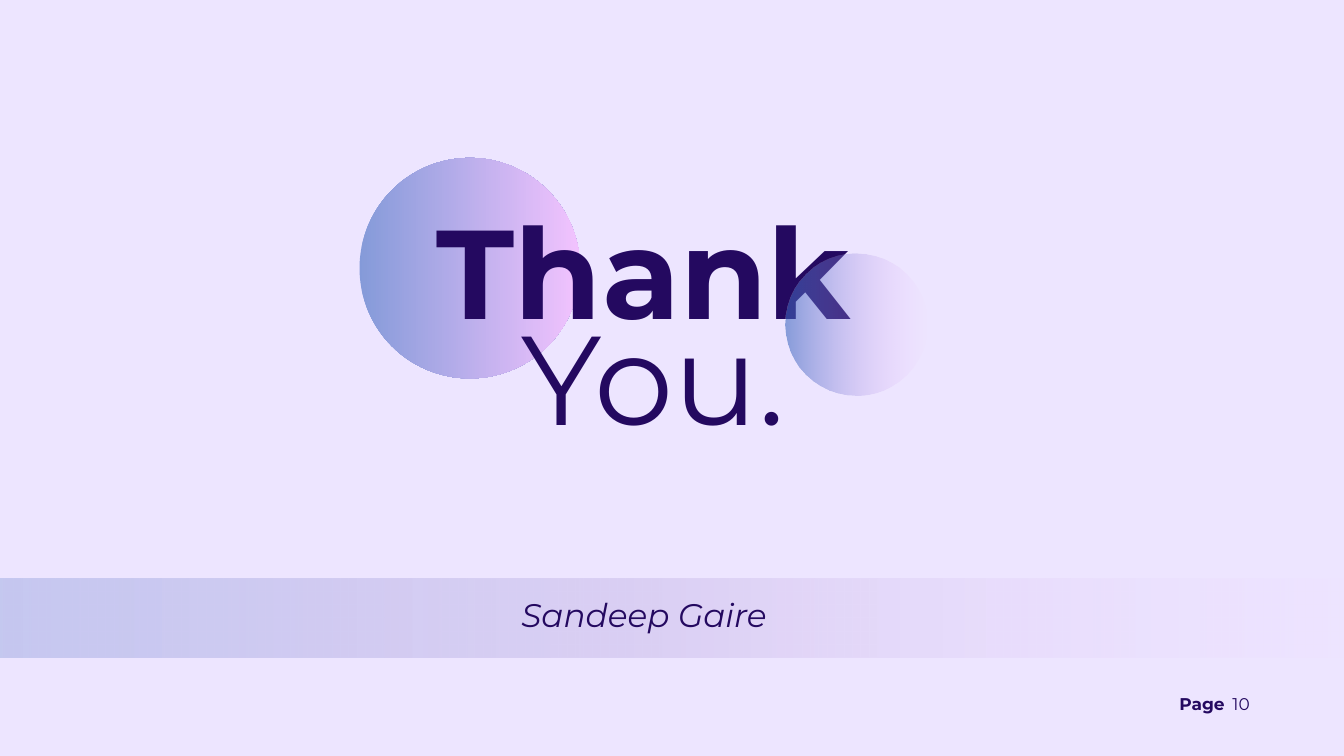
import pptx
import pptx.util
import pptx.dml.color
import pptx.enum.shapes
import pptx.enum.text
import pptx.oxml
import pptx.oxml.ns
from lxml import etree

Pt = pptx.util.Pt
SHAPE = pptx.enum.shapes.MSO_SHAPE
ALIGN = pptx.enum.text.PP_ALIGN

FONT = "Montserrat"
COLORS = {
    "background": "EDE5FF",
    "ink": "240960",
    "blue": "3C67BF",
    "violet": "6B4CAF",
    "pink": "F7ACFF",
}

# Gradient stops: position %, colour, opacity %
LARGE_CIRCLE = {
    "kind": SHAPE.OVAL, "box": (385.2, 169.2, 236.2, 236.2),
    "stops": [(0, "blue", 58), (100, "pink", 58)],
}
SMALL_CIRCLE = {
    "kind": SHAPE.OVAL, "box": (841.5, 271.5, 152, 152),
    "stops": [(0, "blue", 58), (100, "pink", 0)],
}
BAND = {
    "kind": SHAPE.RECTANGLE, "box": (-38.7, 620.3, 1517.4, 84),
    "stops": [(0, "blue", 23), (50, "violet", 13), (100, "pink", 0)],
}

TITLE = {"size": 135.3, "leading": 108.3, "align": ALIGN.CENTER}
PAGE = {"size": 18.2, "leading": 18.6, "align": ALIGN.LEFT}
NAME = {"size": 35, "leading": 28, "align": ALIGN.CENTER}

# Back to front; the small circle lies over the title
CONTENT = [
    LARGE_CIRCLE,
    {"text": "Thank", "box": (411.8, 261.4, 555.8, 121.7), "bold": True, **TITLE},
    {"text": "You.", "box": (503.3, 375.1, 393.1, 121.7), **TITLE},
    SMALL_CIRCLE,
    BAND,
    {"text": "Page", "box": (1263.6, 745.9, 56.9, 19.4), "bold": True, **PAGE},
    {"text": "10", "box": (1320.5, 745.9, 28.1, 19.4), **PAGE},
    {"text": "Sandeep Gaire", "box": (514.8, 651.6, 350.6, 31.7), "italic": True, **NAME},
]


def rgb(name):
    return pptx.dml.color.RGBColor.from_string(COLORS[name])


def set_gradient(shape, stops):
    """Fill from left to right with translucent stops."""
    shape.fill.gradient()
    shape.fill.gradient_angle = 0
    stop_list = shape.element.spPr.find(".//" + pptx.oxml.ns.qn("a:gsLst"))
    for old_stop in list(stop_list):
        stop_list.remove(old_stop)
    for position, color, opacity in stops:
        stop = etree.SubElement(stop_list, pptx.oxml.ns.qn("a:gs"), pos=str(position * 1000))
        value = etree.SubElement(stop, pptx.oxml.ns.qn("a:srgbClr"), val=COLORS[color])
        etree.SubElement(value, pptx.oxml.ns.qn("a:alpha"), val=str(opacity * 1000))


def add_gradient_shape(slide, item):
    shape = slide.shapes.add_shape(item["kind"], *map(Pt, item["box"]))
    shape.shadow.inherit = False
    shape.line.fill.background()
    set_gradient(shape, item["stops"])


def add_text(slide, item):
    frame = slide.shapes.add_textbox(*map(Pt, item["box"])).text_frame
    frame.word_wrap = True
    frame.margin_left = frame.margin_right = frame.margin_top = frame.margin_bottom = 0
    paragraph = frame.paragraphs[0]
    paragraph.alignment = item["align"]
    paragraph.line_spacing = Pt(item["leading"])
    run = paragraph.add_run()
    run.text = item["text"]
    run.font.name = FONT
    run.font.size = Pt(item["size"])
    run.font.bold = item.get("bold", False)
    run.font.italic = item.get("italic", False)
    run.font.color.rgb = rgb("ink")


def main():
    presentation = pptx.Presentation()
    presentation.slide_width, presentation.slide_height = Pt(1440), Pt(810)
    slide = presentation.slides.add_slide(presentation.slide_layouts[6])
    slide.background.fill.solid()
    slide.background.fill.fore_color.rgb = rgb("background")
    for item in CONTENT:
        if "text" in item:
            add_text(slide, item)
        else:
            add_gradient_shape(slide, item)
    presentation.save("out.pptx")


if __name__ == "__main__":
    main()
